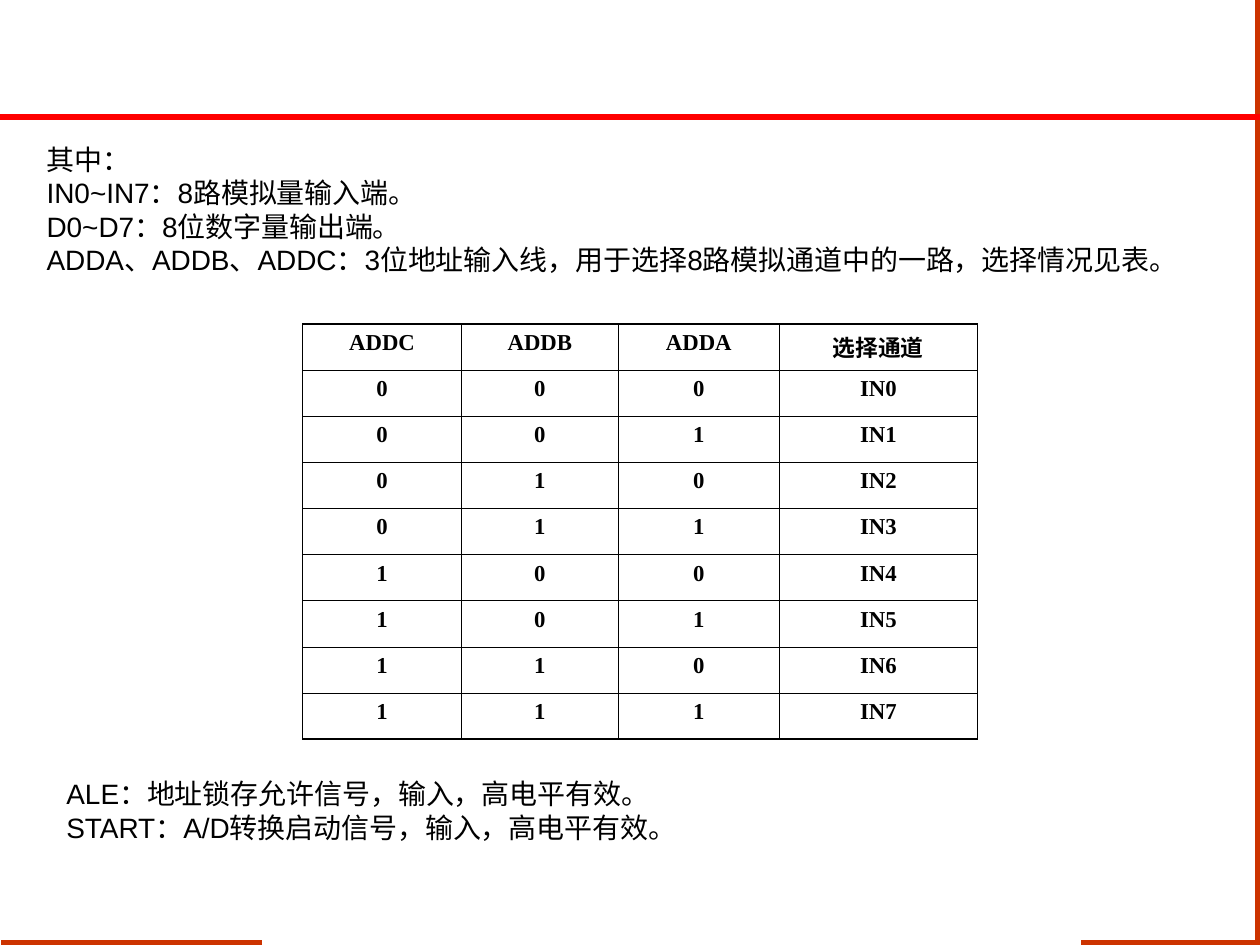
from lxml import etree
from pptx import Presentation, util as u
from pptx.dml.color import RGBColor
from pptx.enum import shapes, text
from pptx.oxml import ns

HUES = {"ink": "000000", "rust": "CC3300", "red": "FF0000"}

RULES = [
    ((5.28, 19), (0.03, 19), "rust"),
    ((25.35, 19.05), (25.35, 0), "rust"),
    ((25.3, 19), (21.79, 19), "rust"),
    ((25.4, 2.36), (0, 2.36), "red"),
]

NOTES = [
    ((0.69, 2.39, 23.8, 3.66), [
        "其中：",
        "IN0~IN7：8路模拟量输入端。",
        "D0~D7：8位数字量输出端。",
        "ADDA、ADDB、ADDC：3位地址输入线，用于选择8路模拟通道中的一路，选择情况见表。",
    ]),
    ((1.09, 15.52, 23.6, 1.63), [
        "ALE：地址锁存允许信号，输入，高电平有效。",
        "START：A/D转换启动信号，输入，高电平有效。",
    ]),
]

HEAD = ["ADDC", "ADDB", "ADDA", "选择通道"]
ROWS = [HEAD] + [[*f"{n:03b}", f"IN{n}"] for n in range(8)]
COLS = [3.2, 3.16, 3.25, 3.99]
LEFT, TOP, HIGH = 6.1, 6.53, 0.93


def tint(name):
    return RGBColor.from_string(HUES[name])


def style(para, face, size, bold=False):
    for run in para.runs:
        font = run.font
        font.name, font.size, font.bold = face, u.Pt(size), bold
        font.color.rgb = tint("ink")


def add_rule(slide, start, end, hue):
    line = slide.shapes.add_connector(
        shapes.MSO_CONNECTOR.STRAIGHT, *map(u.Cm, start + end))
    line.line.color.rgb = tint(hue)
    line.line.width = u.Pt(3)
    etree.SubElement(line._element.spPr, ns.qn("a:effectLst"))


def add_note(slide, area, lines):
    frame = slide.shapes.add_textbox(*map(u.Cm, area)).text_frame
    frame.word_wrap = True
    frame.vertical_anchor = text.MSO_ANCHOR.MIDDLE
    frame.text = "\n".join(lines)
    for para in frame.paragraphs:
        style(para, "Arial", 16)


def set_edges(cell, widths):
    props = cell._tc.get_or_add_tcPr()
    for spot, (side, width) in enumerate(widths.items()):
        edge = etree.Element(ns.qn(f"a:ln{side}"), w=str(u.Pt(width)))
        fill = etree.SubElement(edge, ns.qn("a:solidFill"))
        etree.SubElement(fill, ns.qn("a:srgbClr"), val=HUES["ink"])
        props.insert(spot, edge)


def add_grid(slide):
    area = (LEFT, TOP, sum(COLS), HIGH * len(ROWS))
    grid = slide.shapes.add_table(
        len(ROWS), len(COLS), *map(u.Cm, area)).table
    grid.first_row = grid.horz_banding = False
    for col, wide in zip(grid.columns, COLS):
        col.width = u.Cm(wide)
    for r, row in enumerate(ROWS):
        grid.rows[r].height = u.Cm(HIGH)
        for c, word in enumerate(row):
            cell = grid.cell(r, c)
            cell.text = word
            cell.fill.background()
            para = cell.text_frame.paragraphs[0]
            para.alignment = text.PP_ALIGN.CENTER
            style(para, "Times New Roman", 13, True)
            set_edges(cell, {
                "L": 0.34 if c == 0 else 0.45,
                "R": 0.34 if c == len(COLS) - 1 else 0.45,
                "T": 0.96 if r == 0 else 0.45,
                "B": 0.96 if r == len(ROWS) - 1 else 0.45,
            })


def main():
    deck = Presentation()
    deck.slide_width, deck.slide_height = u.Cm(25.4), u.Cm(19.05)
    slide = deck.slides.add_slide(deck.slide_layouts[6])
    for rule in RULES:
        add_rule(slide, *rule)
    add_grid(slide)
    for note in NOTES:
        add_note(slide, *note)
    deck.save("out.pptx")


if __name__ == "__main__":
    main()
